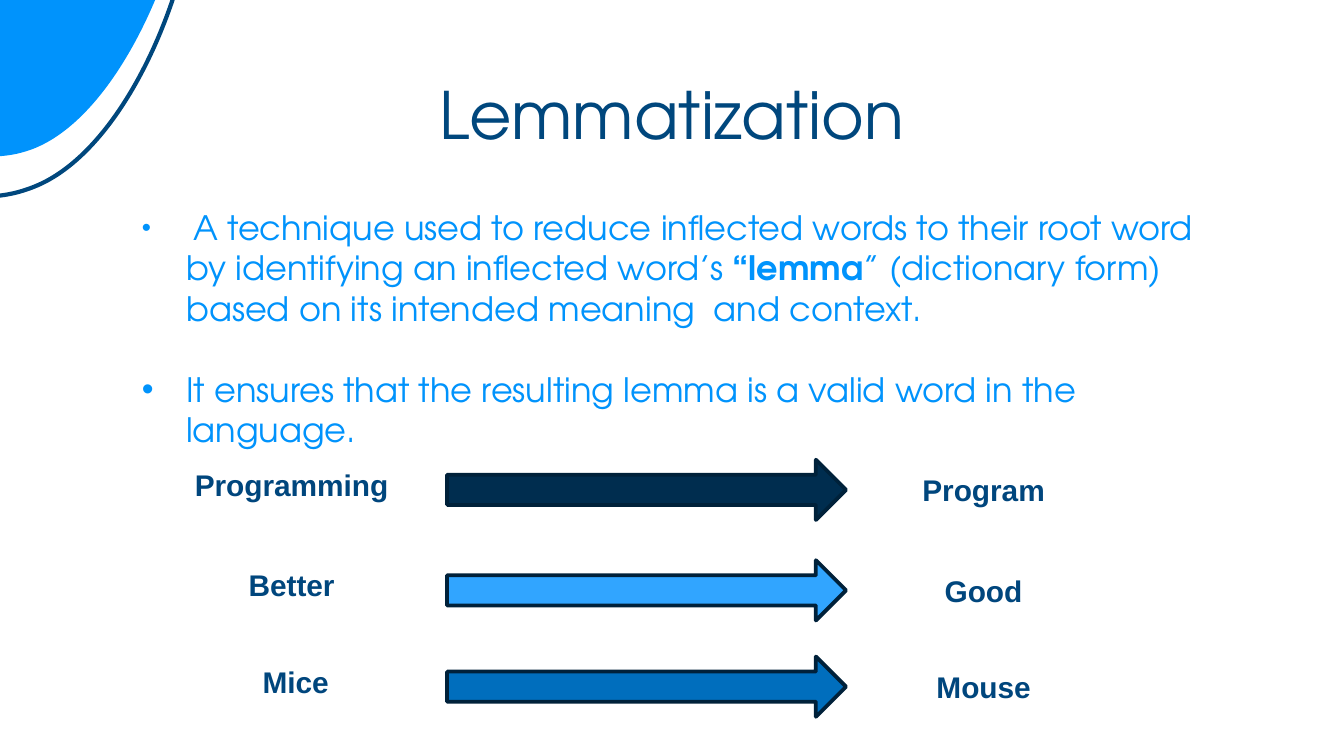
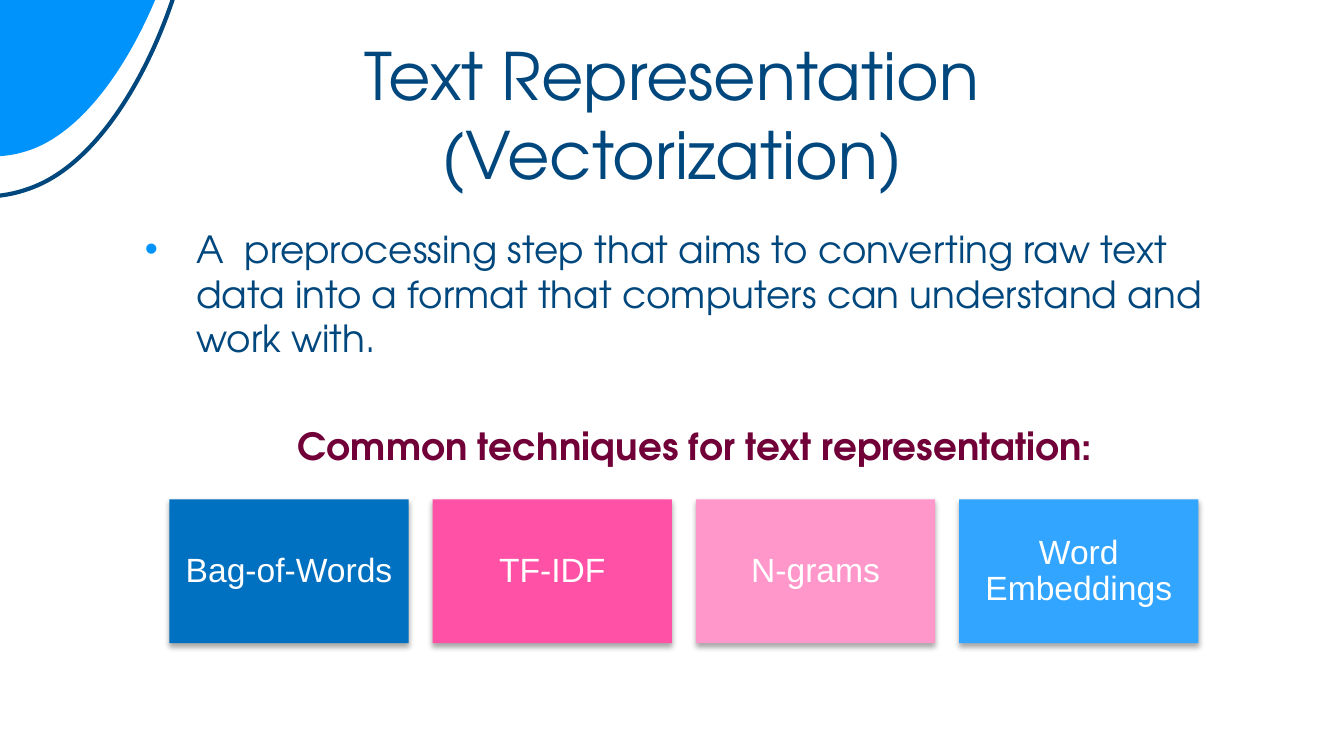
from math import cos, radians, sin

from lxml.etree import SubElement
from pptx import Presentation
from pptx.dml.color import RGBColor
from pptx.enum.shapes import MSO_SHAPE as Preset
from pptx.enum.text import MSO_ANCHOR as Anchor, PP_ALIGN as Align
from pptx.oxml.ns import qn
from pptx.util import Cm, Pt

WHITE = RGBColor(0xFF, 0xFF, 0xFF)
SKY = RGBColor(0x00, 0x93, 0xFC)
NAVY = RGBColor(0x00, 0x47, 0x7D)
LABEL_NAVY = RGBColor(0x00, 0x46, 0x7D)
MIDNIGHT = RGBColor(0x00, 0x2D, 0x4F)
OUTLINE = RGBColor(0x00, 0x21, 0x3A)
LIGHT_BLUE = RGBColor(0x31, 0xA5, 0xFF)
MID_BLUE = RGBColor(0x00, 0x6E, 0xBD)
CARD_BLUE = RGBColor(0x00, 0x70, 0xC0)
PINK = RGBColor(0xFF, 0x52, 0xA7)
PALE_PINK = RGBColor(0xFF, 0x97, 0xCB)
WINE = RGBColor(0x70, 0x00, 0x37)

DISPLAY = "TeX Gyre Adventor"
PLAIN = "Arial"
CURVE_UNIT = Cm(2.54)

TITLE_BOX = (3.2, 1.4, 19, 1.5)

BLOB_BOX = (-7.44, -2.72, 9.12, 4.83)
BLOB_START = (-1.58, -3.37)
BLOB_CURVES = [
    (-1.64, -3.34, -1.71, -3.31, -1.77, -3.27),
    (-2.53, -2.74, -2.51, -1.76, -3.69, -1.32),
    (-3.84, -1.27, -4.01, -1.22, -4.2, -1.19),
    (-4.95, -1.05, -6.03, -1.24, -6.66, -1),
    (-6.95, -0.9, -7.14, -0.7, -7.16, -0.34),
    (-7.24, 1.05, -5.82, 1.57, -5.16, 1.41),
    (-5.12, 1.4, -5.09, 1.39, -5.05, 1.37),
    (-4.51, 1.17, -3.64, 0.44, -2.95, 0.19),
    (-2.78, 0.12, -2.61, 0.09, -2.47, 0.1),
    (-1.14, 0.21, -0.63, 1.43, 0.24, 1.11),
    (1.08, 0.79, 1.68, -1.11, 1.38, -1.87),
    (1.09, -2.57, -0.63, -3.72, -1.58, -3.37),
]
RIM_BOX = (-7.84, -1.88, 9.68, 4.55)
RIM_START = (-1.75, -2.69)
RIM_CURVES = [
    (-1.82, -2.66, -1.89, -2.62, -1.95, -2.57),
    (-2.72, -1.98, -2.67, -1.04, -3.88, -0.48),
    (-4.03, -0.41, -4.2, -0.35, -4.4, -0.29),
    (-5.18, -0.07, -6.31, -0.12, -6.96, 0.17),
    (-7.25, 0.31, -7.45, 0.52, -7.46, 0.87),
    (-7.5, 2.21, -6, 2.53, -5.31, 2.3),
    (-5.28, 2.29, -5.24, 2.27, -5.2, 2.25),
    (-4.65, 2, -3.77, 1.2, -3.06, 0.87),
    (-2.88, 0.79, -2.71, 0.74, -2.56, 0.73),
    (-1.18, 0.68, -0.6, 1.78, 0.3, 1.37),
    (1.16, 0.97, 1.72, -0.93, 1.37, -1.61),
    (1.05, -2.25, -0.77, -3.14, -1.75, -2.69),
]


def level_point(box, angle, x, y):
    left, top, width, height = box
    c, s = cos(radians(angle)), sin(radians(angle))
    dx, dy = x - left - width / 2, y - top - height / 2
    return (round(CURVE_UNIT * (width / 2 + dx * c + dy * s)),
            round(CURVE_UNIT * (height / 2 - dx * s + dy * c)))


def add_swoosh(slide, box, start, curves, angle):
    left, top, width, height = (round(CURVE_UNIT * length) for length in box)
    builder = slide.shapes.build_freeform(left, top)
    builder.add_line_segments([(left + width, top), (left + width, top + height)])
    swoosh = builder.convert_to_shape()
    swoosh.rotation = angle
    swoosh.shadow.inherit = False
    outline = swoosh._element.spPr.find(".//" + qn("a:path"))
    for segment in list(outline):
        outline.remove(segment)
    for tag, numbers in [("a:moveTo", start)] + [("a:cubicBezTo", c) for c in curves]:
        segment = SubElement(outline, qn(tag))
        for x, y in zip(numbers[::2], numbers[1::2]):
            px, py = level_point(box, angle, x, y)
            SubElement(segment, qn("a:pt"), x=str(px), y=str(py))
    SubElement(outline, qn("a:close"))
    return swoosh


def add_corner(slide):
    blob = add_swoosh(slide, BLOB_BOX, BLOB_START, BLOB_CURVES, 339.7)
    blob.fill.solid()
    blob.fill.fore_color.rgb = SKY
    blob.line.fill.background()
    rim = add_swoosh(slide, RIM_BOX, RIM_START, RIM_CURVES, 335.3)
    rim.fill.background()
    rim.line.color.rgb = NAVY
    rim.line.width = Pt(2.25)


def add_frame(slide, box, inset_y=0.13, anchor=Anchor.TOP):
    frame = slide.shapes.add_textbox(*map(Cm, box)).text_frame
    frame.word_wrap = True
    frame.margin_left = frame.margin_right = Cm(0.25)
    frame.margin_top = frame.margin_bottom = Cm(inset_y)
    frame.vertical_anchor = anchor
    return frame


def add_run(paragraph, text, size, color, font=DISPLAY, bold=False):
    run = paragraph.add_run()
    run.text = text
    run.font.size = Pt(size)
    run.font.name = font
    run.font.bold = bold
    run.font.color.rgb = color


def indent(paragraph, left, hanging, bullet=True):
    props = paragraph._p.get_or_add_pPr()
    props.set("marL", str(Cm(left)))
    props.set("indent", str(-Cm(hanging)))
    if bullet:
        tint = SubElement(props, qn("a:buClr"))
        SubElement(tint, qn("a:srgbClr"), val=str(SKY))
        SubElement(props, qn("a:buFont"), typeface=PLAIN)
        SubElement(props, qn("a:buChar"), char="•")


def add_title(slide, text):
    paragraph = add_frame(slide, TITLE_BOX, 0.25, Anchor.MIDDLE).paragraphs[0]
    paragraph.alignment = Align.CENTER
    add_run(paragraph, text, 35, NAVY)


def add_definition(slide, box):
    frame = add_frame(slide, box, 0.25)
    technique = frame.paragraphs[0]
    indent(technique, 1.27, 0.84)
    add_run(technique, " ", 14, SKY)
    add_run(technique, "A technique used to reduce inflected words to their root word "
            "by identifying an inflected word’s ", 18, SKY)
    add_run(technique, "“lemma", 18, SKY, bold=True)
    add_run(technique, "” (dictionary form) based on its intended meaning  and context.",
            18, SKY)
    validity = frame.add_paragraph()
    validity.space_before = Pt(21.8)
    indent(validity, 1.27, 0.84)
    add_run(validity, "It ensures that the resulting lemma is a valid word in the language.",
            18, SKY)


def add_word(slide, text, left, top):
    paragraph = add_frame(slide, (left, top, 4.78, 0.94)).paragraphs[0]
    paragraph.alignment = Align.CENTER
    add_run(paragraph, text, 16, LABEL_NAVY, PLAIN, bold=True)


def add_reduction(slide, left, top, word, lemma, color):
    arrow = slide.shapes.add_shape(
        Preset.RIGHT_ARROW, Cm(left + 5.25), Cm(top), Cm(7.54), Cm(1.14))
    arrow.shadow.inherit = False
    arrow.fill.solid()
    arrow.fill.fore_color.rgb = color
    arrow.line.color.rgb = OUTLINE
    arrow.line.width = Pt(2)
    add_word(slide, word, left, top)
    add_word(slide, lemma, left + 13, top + 0.1)


def add_card_shadow(card):
    card.shadow.inherit = False
    effects = card._element.spPr.find(qn("a:effectLst"))
    shadow = SubElement(effects, qn("a:outerShdw"), blurRad=str(Pt(3.1)),
                        dist=str(Pt(1.8)), dir="5400000", rotWithShape="0")
    black = SubElement(shadow, qn("a:srgbClr"), val="000000")
    SubElement(black, qn("a:alpha"), val="35000")


def add_cards(slide, box, techniques, gap):
    left, top, width, height = box
    card_width = (width - gap * (len(techniques) - 1)) / len(techniques)
    for index, (technique, color) in enumerate(techniques):
        card = slide.shapes.add_shape(
            Preset.RECTANGLE, Cm(left + index * (card_width + gap)), Cm(top),
            Cm(card_width), Cm(height))
        add_card_shadow(card)
        card.fill.solid()
        card.fill.fore_color.rgb = color
        card.line.fill.background()
        frame = card.text_frame
        frame.word_wrap = True
        frame.vertical_anchor = Anchor.MIDDLE
        frame.margin_left = frame.margin_right = Cm(0.18)
        frame.margin_top = frame.margin_bottom = Cm(0.18)
        paragraph = frame.paragraphs[0]
        paragraph.alignment = Align.CENTER
        paragraph.line_spacing = 0.9
        add_run(paragraph, technique, 18, WHITE, PLAIN)


def add_overview(slide, box):
    frame = add_frame(slide, box)
    purpose = frame.paragraphs[0]
    indent(purpose, 1.37, 0.97)
    add_run(purpose, "A  preprocessing step that aims to converting raw text data into "
            "a format that computers can understand and work with.", 20, NAVY)
    heading = frame.add_paragraph()
    heading.alignment = Align.CENTER
    heading.space_before = Pt(33.6)
    indent(heading, 1.27, 0.84, bullet=False)
    add_run(heading, "Common techniques for text representation:", 20, WINE, bold=True)


def start_slide(deck):
    slide = deck.slides.add_slide(deck.slide_layouts[6])
    slide.background.fill.solid()
    slide.background.fill.fore_color.rgb = WHITE
    add_corner(slide)
    return slide


def build_lemmatization(deck):
    slide = start_slide(deck)
    add_definition(slide, (2, 3.66, 21.41, 9.14))
    add_title(slide, "Lemmatization")
    for top, word, lemma, color in (
        (8.69, "Programming ", "Program", MIDNIGHT),
        (10.59, "Better ", "Good", LIGHT_BLUE),
        (12.41, "Mice", "Mouse", MID_BLUE),
    ):
        add_reduction(slide, 3.2, top, word, lemma, color)


def build_vectorization(deck):
    slide = start_slide(deck)
    techniques = [("Bag-of-Words", CARD_BLUE), ("TF-IDF", PINK),
                  ("N-grams", PALE_PINK), ("Word Embeddings", LIGHT_BLUE)]
    add_cards(slide, (3.2, 9.44, 19.45, 2.72), techniques, 0.45)
    add_title(slide, "Text Representation (Vectorization)")
    add_overview(slide, (2.09, 4.14, 21.67, 4.62))


def main():
    deck = Presentation()
    deck.slide_width, deck.slide_height = Cm(25.4), Cm(14.29)
    build_lemmatization(deck)
    build_vectorization(deck)
    deck.save("out.pptx")


if __name__ == "__main__":
    main()
